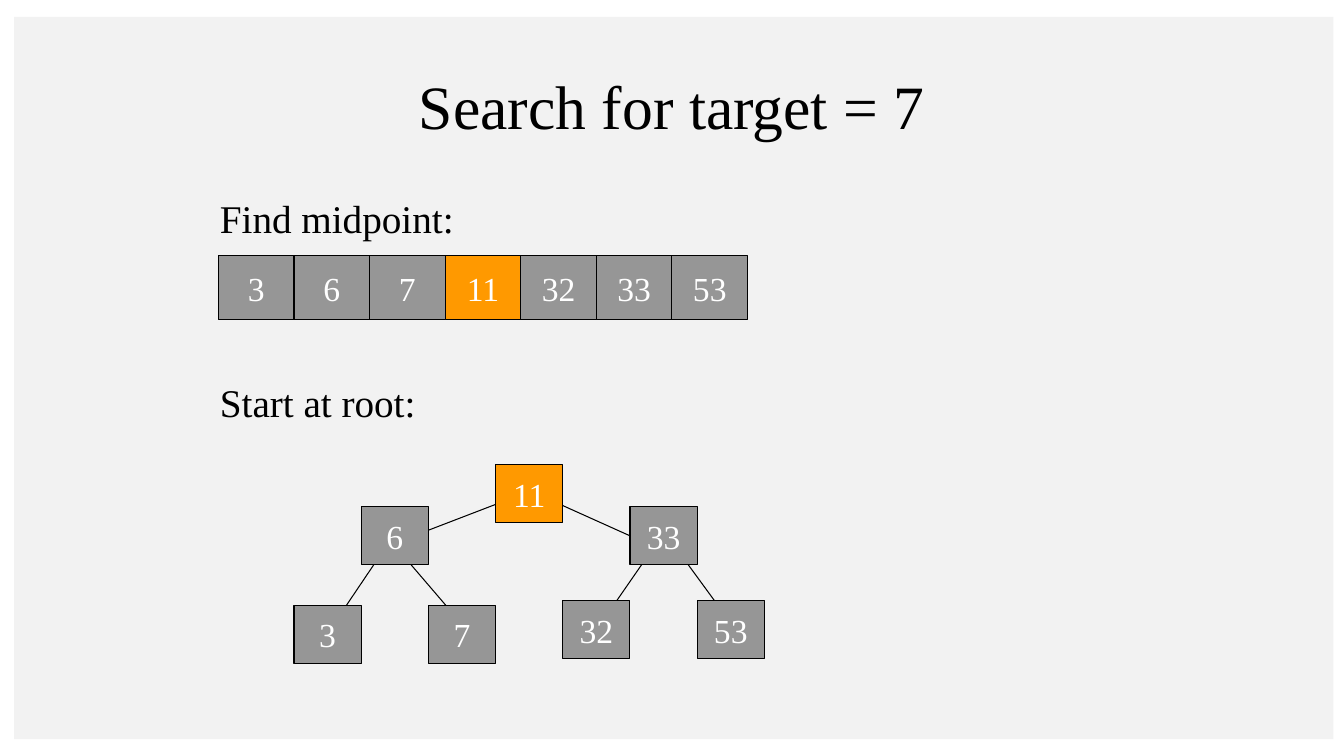
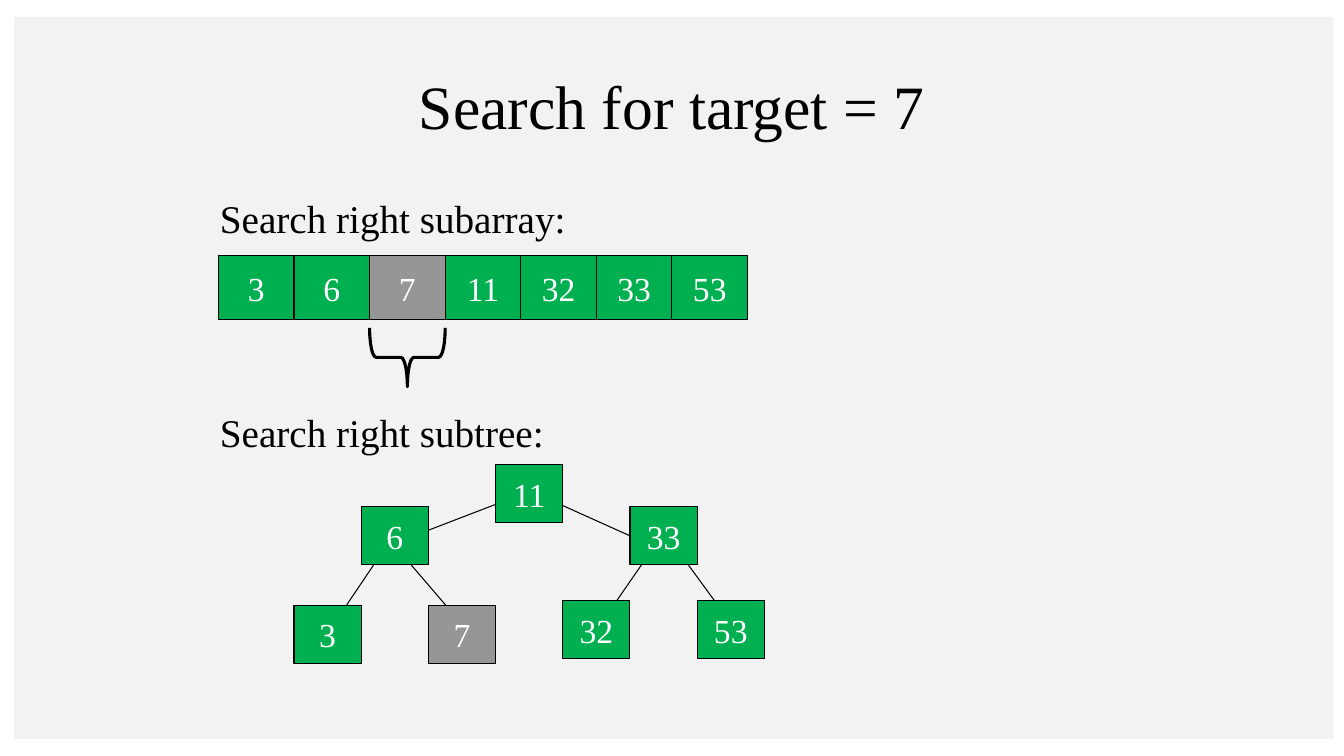
from pptx import Presentation
from pptx.dml.color import RGBColor
from pptx.enum.shapes import MSO_CONNECTOR, MSO_SHAPE
from pptx.enum.text import MSO_ANCHOR, PP_ALIGN
from pptx.oxml.ns import qn
from pptx.util import Pt
from lxml import etree

RECTANGLE = MSO_SHAPE.RECTANGLE
LEFT_BRACE = MSO_SHAPE.LEFT_BRACE
STRAIGHT = MSO_CONNECTOR.STRAIGHT
MIDDLE = MSO_ANCHOR.MIDDLE
TOP = MSO_ANCHOR.TOP
CENTER = PP_ALIGN.CENTER
LEFT = PP_ALIGN.LEFT

BLACK = RGBColor(0x00, 0x00, 0x00)
WHITE = RGBColor(0xFF, 0xFF, 0xFF)
PANEL = RGBColor(0xF2, 0xF2, 0xF2)
GRAY = RGBColor(0x96, 0x96, 0x96)
ORANGE = RGBColor(0xFF, 0x99, 0x00)
GREEN = RGBColor(0x00, 0xB0, 0x50)

FONT = "Times New Roman"
TITLE = "Search for target = 7"
TITLE_ONLY = 5
THIN = 0.75

VALUES = [3, 6, 7, 11, 32, 33, 53]
ARRAY_LEFT, ARRAY_TOP = 156, 182.75
CELL_WIDTH, CELL_HEIGHT = 54, 45.5
TREE_LEFT = 210
NODE_WIDTH, NODE_HEIGHT = 48, 41.5
NODE_TOPS = [432.5, 362, 432.5, 332, 429, 362, 429]
EDGES = [
    (366.5, 355.5, 291, 384.5),
    (389.5, 355.5, 465, 389.5),
    (273, 394.5, 241, 442),
    (286, 394.5, 331, 447),
    (474.5, 380, 425, 451.5),
    (474.5, 380, 523.5, 447),
]


def write(frame, text, size, color, align, anchor, wrap=True):
    frame.word_wrap = wrap
    frame.vertical_anchor = anchor
    para = frame.paragraphs[0]
    para.alignment = align
    span = para.add_run()
    span.text = text
    span.font.name = FONT
    span.font.size = Pt(size)
    span.font.color.rgb = color


def place(shape, left, top, width, height):
    shape.left, shape.top = Pt(left), Pt(top)
    shape.width, shape.height = Pt(width), Pt(height)


def add_panel(page):
    panel = page.shapes.add_shape(RECTANGLE, Pt(10), Pt(12), Pt(942.5), Pt(516))
    panel.shadow.inherit = False
    panel.fill.solid()
    panel.fill.fore_color.rgb = PANEL
    panel.line.fill.background()
    page.shapes.title.element.addprevious(panel.element)


def add_title(page):
    title = page.shapes.title
    place(title, 174, 30, 612, 90)
    write(title.text_frame, TITLE, 44, BLACK, CENTER, MIDDLE)


def add_heading(page, text, top):
    box = page.shapes.add_textbox(Pt(150), Pt(top), Pt(498), Pt(40))
    write(box.text_frame, text, 28, BLACK, LEFT, TOP)


def add_number(page, value, left, top, width, height, color):
    box = page.shapes.add_shape(RECTANGLE, Pt(left), Pt(top), Pt(width), Pt(height))
    box.shadow.inherit = False
    box.fill.solid()
    box.fill.fore_color.rgb = color
    box.line.color.rgb = BLACK
    box.line.width = Pt(THIN)
    write(box.text_frame, str(value), 24, WHITE, CENTER, MIDDLE, wrap=False)


def add_array(page, colors):
    for column, (value, color) in enumerate(zip(VALUES, colors)):
        left = ARRAY_LEFT + column * CELL_WIDTH
        add_number(page, value, left, ARRAY_TOP, CELL_WIDTH, CELL_HEIGHT, color)


def add_edge(page, *ends):
    edge = page.shapes.add_connector(STRAIGHT, *map(Pt, ends))
    edge.line.color.rgb = BLACK
    edge.line.width = Pt(THIN)
    etree.SubElement(edge.element.spPr, qn("a:effectLst"))


def add_tree(page, colors):
    for ends in EDGES:
        add_edge(page, *ends)
    for column, (value, top, color) in enumerate(zip(VALUES, NODE_TOPS, colors)):
        left = TREE_LEFT + column * NODE_WIDTH
        add_number(page, value, left, top, NODE_WIDTH, NODE_HEIGHT, color)


def add_brace(page, column):
    depth = 42
    center_x = ARRAY_LEFT + (column + 0.5) * CELL_WIDTH
    center_y = 255.25
    brace = page.shapes.add_shape(
        LEFT_BRACE, Pt(center_x - depth / 2), Pt(center_y - CELL_WIDTH / 2),
        Pt(depth), Pt(CELL_WIDTH))
    brace.rotation = 270
    brace.adjustments[0] = 0.11
    brace.adjustments[1] = 0.5
    brace.shadow.inherit = False
    brace.fill.background()
    brace.line.color.rgb = BLACK
    brace.line.width = Pt(2.25)


def add_search_step(deck, array_heading, tree_heading, tree_heading_top,
                    base, marked, mark):
    page = deck.slides.add_slide(deck.slide_layouts[TITLE_ONLY])
    colors = [mark if value == marked else base for value in VALUES]
    add_panel(page)
    add_title(page)
    add_heading(page, array_heading, 135.5)
    add_heading(page, tree_heading, tree_heading_top)
    add_array(page, colors)
    add_tree(page, colors)
    return page


def main():
    deck = Presentation()
    deck.slide_width, deck.slide_height = Pt(960), Pt(540)
    add_search_step(deck, "Find midpoint:", "Start at root:", 267,
                    GRAY, 11, ORANGE)
    page = add_search_step(deck, "Search right subarray:", "Search right subtree:",
                           288, GREEN, 7, GRAY)
    add_brace(page, VALUES.index(7))
    deck.save("out.pptx")


if __name__ == "__main__":
    main()
